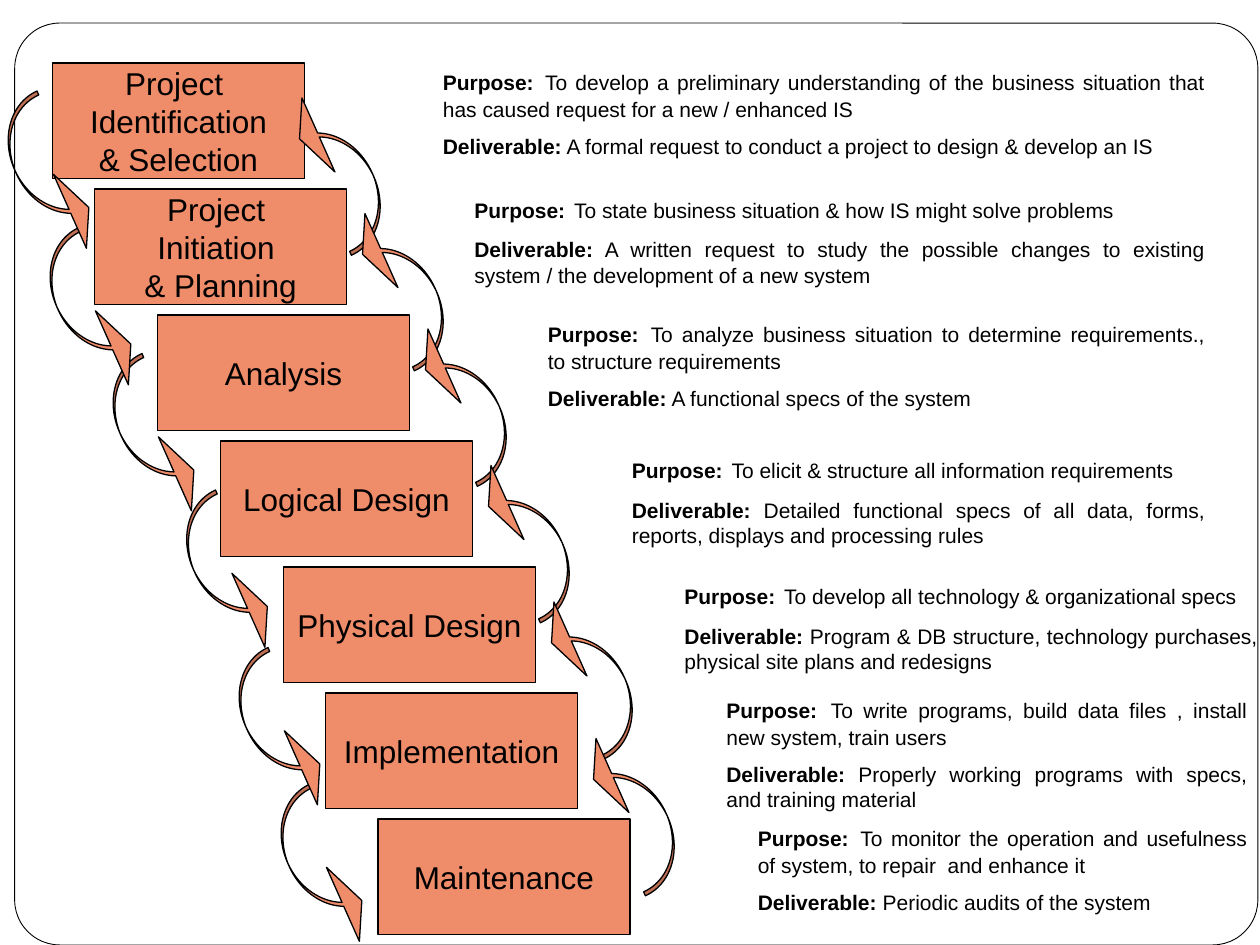
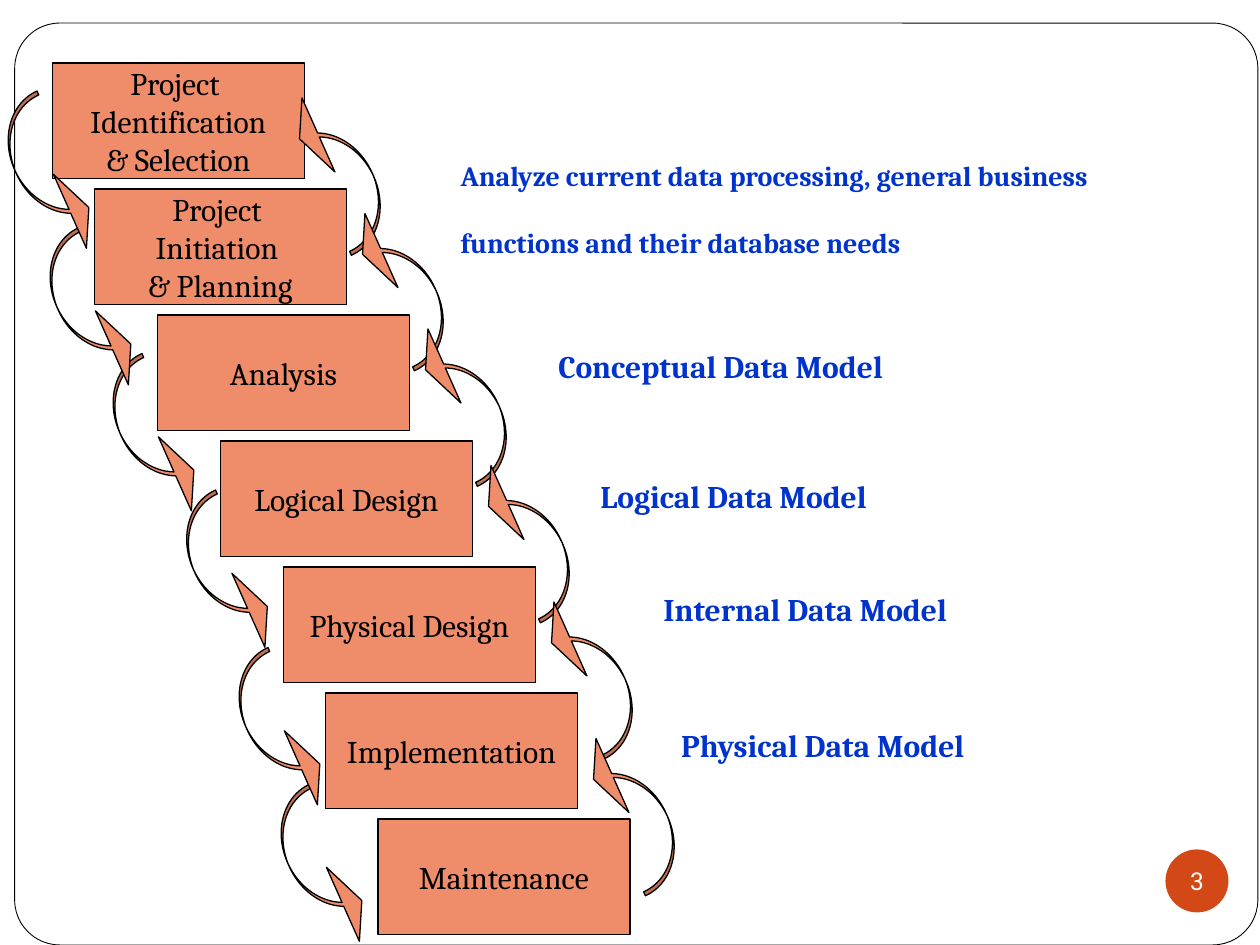
from dataclasses import dataclass
from typing import NamedTuple

import pptx
import pptx.dml.color
import pptx.enum.shapes
import pptx.enum.text
import pptx.util

SHAPE = pptx.enum.shapes.MSO_SHAPE
ALIGN = pptx.enum.text.PP_ALIGN
EMU_PER_PX = 7620  # 120 px to the inch


@dataclass(frozen=True)
class Theme:
    paper: str = "FFFFFF"
    ink: str = "000000"
    phase: str = "EF8C6A"
    model: str = "0033CC"
    badge: str = "D34817"
    sans: str = "Arial"
    serif: str = "Cambria"
    number: str = "Roboto"
    body_size: int = 12
    badge_size: int = 14
    note_size: int = 16
    head_size: int = 18
    frame_line: float = 0.5
    shape_line: float = 0.75


THEME = Theme()


class Box(NamedTuple):
    left: int
    top: int
    width: int
    height: int


class Phase(NamedTuple):
    left: int
    lines: tuple[str, ...]


class Detail(NamedTuple):
    box: Box
    purpose: str
    deliverable: str


class ModelLabel(NamedTuple):
    box: Box
    text: str
    size: int = THEME.head_size
    align: ALIGN = ALIGN.JUSTIFY
    spacing: float = 1.0


FRAME = Box(14, 22, 1184, 878)
BADGE = Box(1110, 809, 60, 60)
PHASE_TOP, PHASE_STEP, PHASE_WIDTH, PHASE_HEIGHT = 60, 120, 240, 110
ARROW_WIDTH, ARROW_HEIGHT, ARROW_TURN = 50, 160, 336
ARROW_ADJUST = (0.082, 1.543, 0.36)

PHASES = (
    Phase(50, ("Project ", "Identification", "& Selection")),
    Phase(90, ("Project ", "Initiation ", "& Planning")),
    Phase(150, ("Analysis",)),
    Phase(210, ("Logical Design",)),
    Phase(270, ("Physical Design",)),
    Phase(310, ("Implementation",)),
    Phase(360, ("Maintenance",)),
)

# Left-top corners by flip direction, from back to front
ARROWS = {
    "flipH": ((280, 750), (120, 340), (190, 470), (240, 620), (60, 220), (20, 90)),
    "flipV": ((300, 80), (360, 190), (420, 300), (480, 430), (540, 560), (580, 690)),
}

DETAILS = (
    Detail(Box(410, 50, 750, 108),
           "To develop a preliminary understanding of the business situation that "
           "has caused request for a new / enhanced IS",
           "A formal request to conduct a project to design & develop an IS"),
    Detail(Box(440, 172, 720, 108),
           "To state business situation & how IS might solve problems",
           "A written request to study the possible changes to existing system / "
           "the development of a new system"),
    Detail(Box(510, 290, 650, 108),
           "To analyze business situation to determine requirements., "
           "to structure requirements",
           "A functional specs of the system"),
    Detail(Box(590, 420, 570, 108),
           "To elicit & structure all information requirements",
           "Detailed functional specs of all data, forms, reports, displays "
           "and processing rules"),
    Detail(Box(640, 540, 570, 108),
           "To develop all technology & organizational specs",
           "Program & DB structure, technology purchases, physical site plans "
           "and redesigns"),
    Detail(Box(680, 648, 520, 132),
           "To write programs, build data files , install new system, train users",
           "Properly working programs with specs, and training material"),
    Detail(Box(710, 770, 490, 108),
           "To monitor the operation and usefulness of system, to repair  and enhance it",
           "Periodic audits of the system"),
)

MODEL_LABELS = (
    ModelLabel(Box(427, 113, 690, 131),
               "Analyze current data processing, general business functions "
               "and their database needs",
               THEME.note_size, ALIGN.LEFT, 2.0),
    ModelLabel(Box(520, 325, 522, 48), "Conceptual Data Model"),
    ModelLabel(Box(560, 448, 570, 48), "Logical Data Model"),
    ModelLabel(Box(620, 556, 329, 48), "Internal Data Model"),
    ModelLabel(Box(637, 686, 329, 48), "Physical Data Model"),
)


def px(n: int) -> pptx.util.Emu:
    return pptx.util.Emu(n * EMU_PER_PX)


def rgb(value: str) -> pptx.dml.color.RGBColor:
    return pptx.dml.color.RGBColor.from_string(value)


def add_run(p, text: str, *, size: int = THEME.head_size, font: str = THEME.sans,
            color: str = THEME.ink, bold: bool = False) -> None:
    r = p.add_run()
    r.text = text
    r.font.size = pptx.util.Pt(size)
    r.font.name = font
    r.font.color.rgb = rgb(color)
    r.font.bold = bold


def next_paragraph(tf, first: bool, align: ALIGN):
    p = tf.paragraphs[0] if first else tf.add_paragraph()
    p.alignment = align
    return p


def add_figure(s, kind: SHAPE, box: Box, fill: str, line: float = 0):
    """Add a filled preset shape; a line width of 0 means no outline."""
    sp = s.shapes.add_shape(kind, *map(px, box))
    sp.shadow.inherit = False
    sp.fill.solid()
    sp.fill.fore_color.rgb = rgb(fill)
    if line:
        sp.line.color.rgb = rgb(THEME.ink)
        sp.line.width = pptx.util.Pt(line)
    else:
        sp.line.fill.background()
    return sp


def centre_lines(sp, lines: tuple[str, ...], **style) -> None:
    tf = sp.text_frame
    tf.word_wrap = False
    tf.vertical_anchor = pptx.enum.text.MSO_ANCHOR.MIDDLE
    for i, text in enumerate(lines):
        add_run(next_paragraph(tf, i == 0, ALIGN.CENTER), text, **style)


def add_text_frame(s, box: Box):
    tf = s.shapes.add_textbox(*map(px, box)).text_frame
    tf.word_wrap = True
    tf.auto_size = pptx.enum.text.MSO_AUTO_SIZE.SHAPE_TO_FIT_TEXT
    return tf


def add_phases(s, font: str) -> None:
    for i, phase in enumerate(PHASES):
        box = Box(phase.left, PHASE_TOP + i * PHASE_STEP, PHASE_WIDTH, PHASE_HEIGHT)
        sp = add_figure(s, SHAPE.RECTANGLE, box, THEME.phase, THEME.shape_line)
        centre_lines(sp, phase.lines, font=font)


def add_arrows(s) -> None:
    for flip, corners in ARROWS.items():
        for left, top in corners:
            sp = add_figure(s, SHAPE.CURVED_LEFT_ARROW,
                            Box(left, top, ARROW_WIDTH, ARROW_HEIGHT),
                            THEME.phase, THEME.shape_line)
            for i, value in enumerate(ARROW_ADJUST):
                sp.adjustments[i] = value
            sp.rotation = ARROW_TURN
            sp._element.spPr.xfrm.set(flip, "1")


def add_detail(s, detail: Detail) -> None:
    tf = add_text_frame(s, detail.box)
    size = THEME.body_size
    p = next_paragraph(tf, True, ALIGN.JUSTIFY)
    add_run(p, "Purpose:", size=size, bold=True)
    add_run(p, " ")
    add_run(p, detail.purpose, size=size)
    p = next_paragraph(tf, False, ALIGN.JUSTIFY)
    p.space_before = pptx.util.Pt(7)
    add_run(p, "Deliverable:", size=size, bold=True)
    add_run(p, " " + detail.deliverable, size=size)


def add_model_label(s, label: ModelLabel) -> None:
    p = next_paragraph(add_text_frame(s, label.box), True, label.align)
    p.line_spacing = label.spacing
    add_run(p, label.text, size=label.size, font=THEME.serif,
            color=THEME.model, bold=True)


def add_badge(s, number: str) -> None:
    sp = add_figure(s, SHAPE.OVAL, BADGE, THEME.badge)
    tf = sp.text_frame
    tf.margin_left = tf.margin_right = tf.margin_top = tf.margin_bottom = 0
    centre_lines(sp, (number,), size=THEME.badge_size, font=THEME.number,
                 color=THEME.paper)


def add_cycle_slide(prs, font: str):
    """Add a slide with the frame, the phase staircase and its arrows."""
    s = prs.slides.add_slide(prs.slide_layouts[6])
    frame = add_figure(s, SHAPE.ROUNDED_RECTANGLE, FRAME, THEME.paper, THEME.frame_line)
    frame.adjustments[0] = 0.049
    add_phases(s, font)
    add_arrows(s)
    return s


def main() -> None:
    prs = pptx.Presentation()
    prs.slide_width, prs.slide_height = px(1200), px(900)

    s = add_cycle_slide(prs, THEME.sans)
    for detail in DETAILS:
        add_detail(s, detail)

    s = add_cycle_slide(prs, THEME.serif)
    for label in MODEL_LABELS:
        add_model_label(s, label)
    add_badge(s, "3")

    prs.save("out.pptx")


if __name__ == "__main__":
    main()
